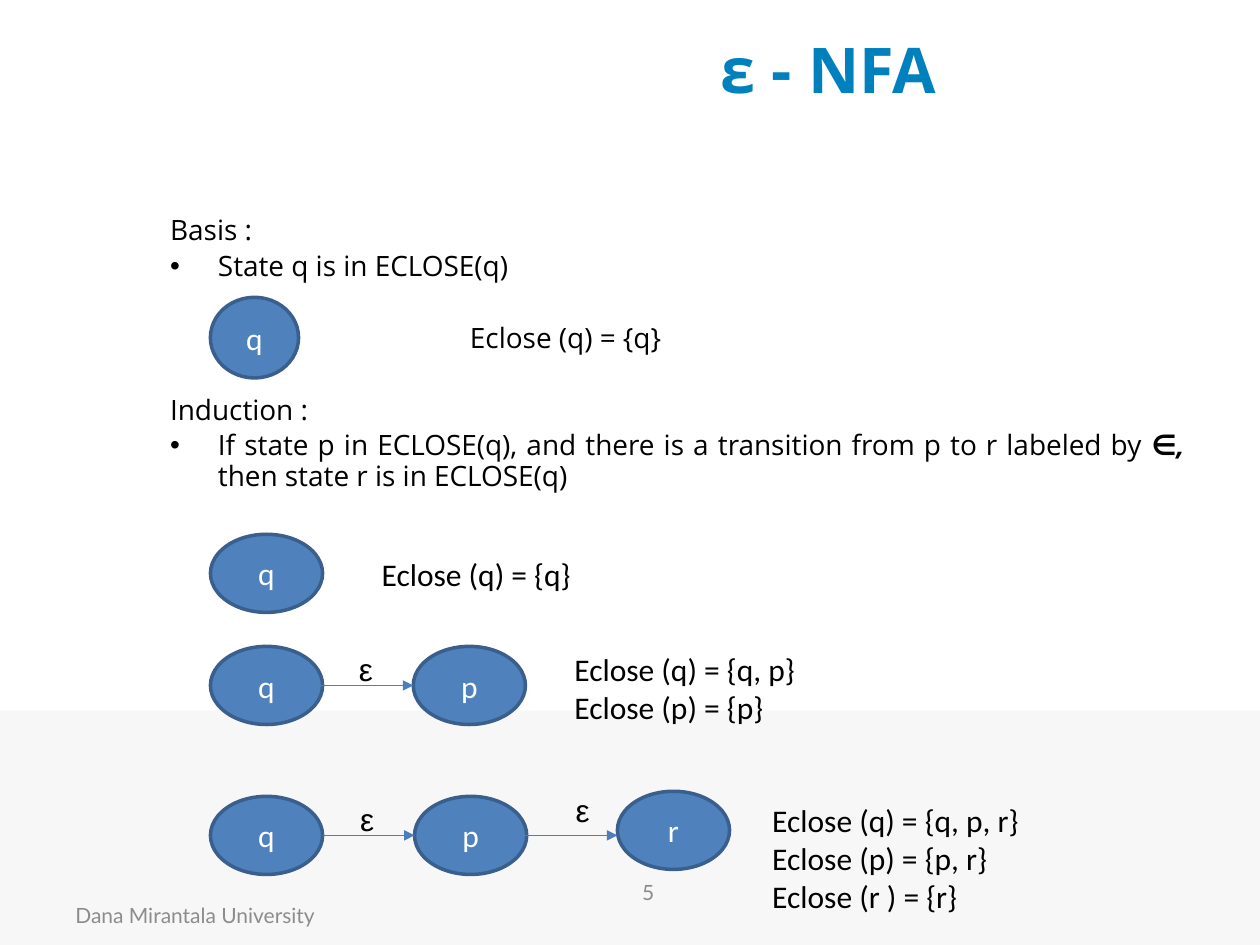
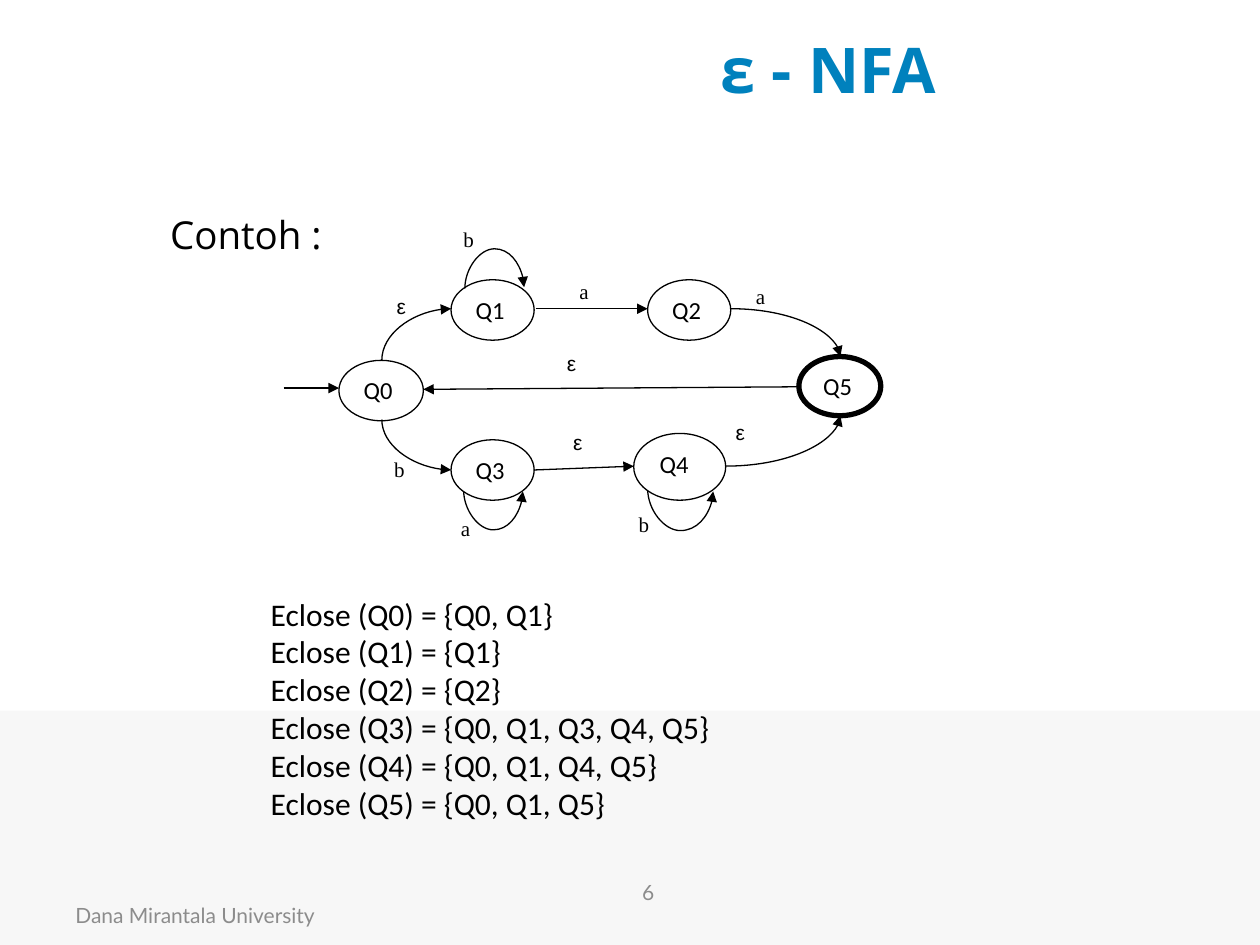
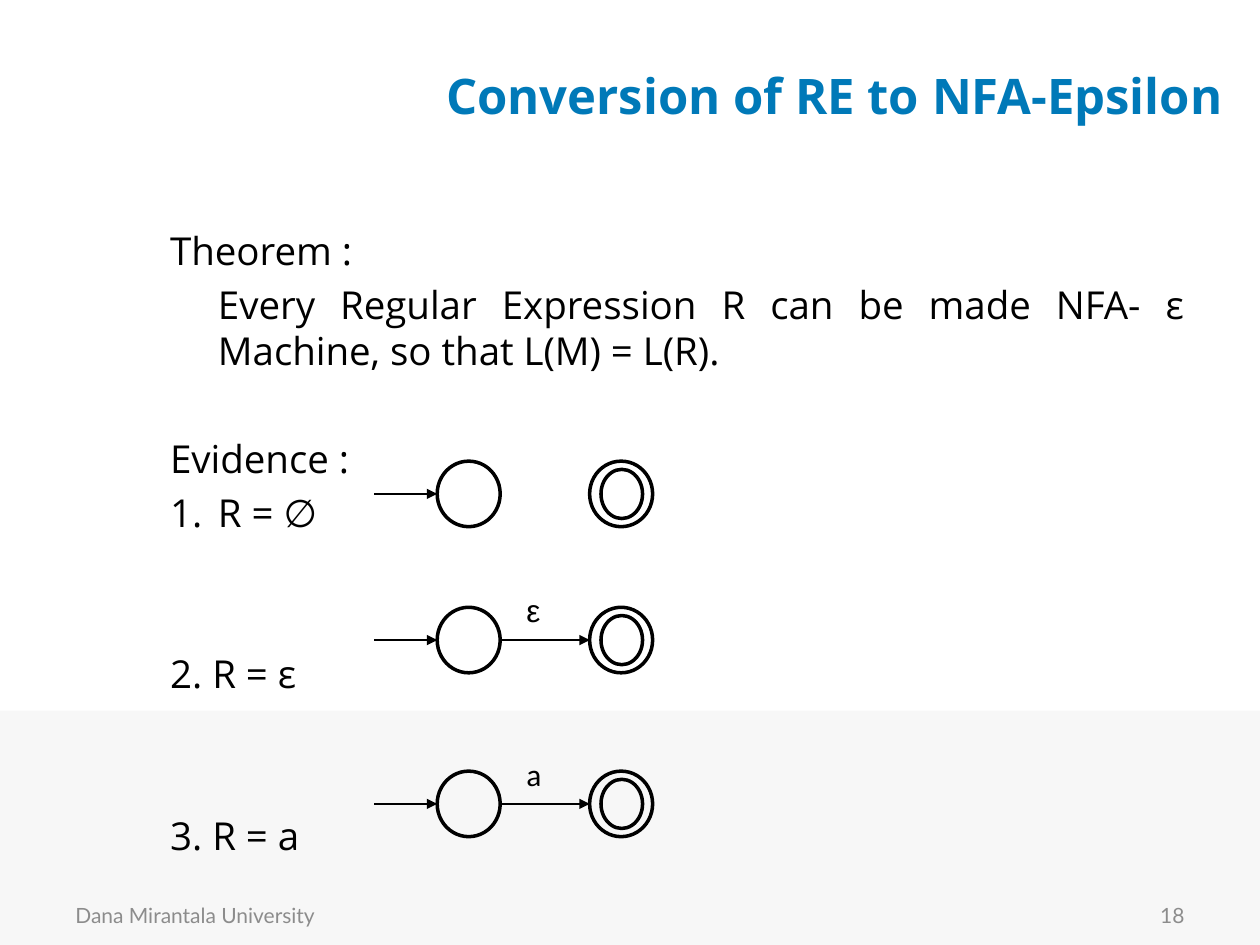
from dataclasses import dataclass

from lxml import etree
from pptx import Presentation
from pptx.dml.color import RGBColor
from pptx.enum.shapes import MSO_CONNECTOR, MSO_SHAPE
from pptx.enum.text import MSO_ANCHOR, MSO_AUTO_SIZE, PP_ALIGN
from pptx.oxml.ns import qn
from pptx.util import Emu, Inches, Pt

LEFT, MID, RIGHT, JUST = PP_ALIGN.LEFT, PP_ALIGN.CENTER, PP_ALIGN.RIGHT, PP_ALIGN.JUSTIFY
TOP, CORE = MSO_ANCHOR.TOP, MSO_ANCHOR.MIDDLE
RECT, OVAL = MSO_SHAPE.RECTANGLE, MSO_SHAPE.OVAL
LINE, CURVE = MSO_CONNECTOR.STRAIGHT, MSO_CONNECTOR.CURVE
FIXED = MSO_AUTO_SIZE.NONE

COLS, ROWS = 10, 7.5
CELL = Inches(1)
HEAD, SANS, SERIF, GREEK, FOOT = "Open Sans", "Calibri", "Times New Roman", "Arial", "Lato"
BLACK, WHITE, GREY, BAND = "000000", "FFFFFF", "8C8C8C", "F7F7F7"
BLUE, EDGE, WIRE = "4F81BD", "3A5F8C", "4B7EBC"
TITLE, DEEP = "0081BD", "0079B8"
SCHOOL = "Dana Mirantala University"
HANG, LEAD, TALL = 0.38, 0.2, 1.2


@dataclass
class Item:
    """One body paragraph; gap counts the lines left free above it."""
    text: str
    gap: float = 0
    left: float = HANG
    first: float = -HANG
    mark: str = ""
    align: PP_ALIGN = LEFT
    bold: str = ""


@dataclass
class Node:
    """One state of an automaton."""
    text: str
    x: float
    y: float
    w: float = 0.66
    h: float = 0.48
    line: float = 0.75


@dataclass
class Arc:
    """One arrow; a turn leaves upright, and reach makes it a loop."""
    x: float
    y: float
    to_x: float
    to_y: float
    kind: MSO_CONNECTOR = LINE
    turn: bool = False
    reach: float = 0


def cell(num: float) -> Emu:
    """Turn grid columns or rows into a length."""
    return Emu(round(num * CELL))


def paint(hue: str) -> RGBColor:
    """Read a hex colour."""
    return RGBColor.from_string(hue)


def write(frame, text: str, *, size=18, font=SANS, hue=BLACK, bold=False,
          align=LEFT, anchor=TOP, mark=""):
    """Add text to a frame, a paragraph a line, and return the last one."""
    frame.word_wrap, frame.auto_size, frame.vertical_anchor = True, FIXED, anchor
    for line in text.split("\n"):
        par = frame.paragraphs[0]
        if par.runs:
            par = frame.add_paragraph()
        par.alignment = align
        for part in line.partition(mark) if mark else [line]:
            if part:
                run = par.add_run()
                run.text = part
                face = run.font
                face.size, face.name, face.color.rgb = Pt(size), font, paint(hue)
                face.bold = bold or part == mark
                face.italic = part == mark
    return par


def place(shape, x: float, y: float, w: float, h: float) -> None:
    """Move a shape to its place on the grid."""
    shape.left, shape.top, shape.width, shape.height = map(cell, (x, y, w, h))


def label(slide, text: str, x: float, y: float, w: float, h: float, **fmt) -> None:
    """Add a text box."""
    box = slide.shapes.add_textbox(*map(cell, (x, y, w, h)))
    write(box.text_frame, text, **fmt)


def block(slide, kind, x: float, y: float, w: float, h: float,
          fill="", edge="", line=0.75):
    """Add a plain preset shape."""
    shape = slide.shapes.add_shape(kind, *map(cell, (x, y, w, h)))
    shape.shadow.inherit = False
    if fill:
        shape.fill.solid()
        shape.fill.fore_color.rgb = paint(fill)
    else:
        shape.fill.background()
    if edge:
        shape.line.color.rgb = paint(edge)
        shape.line.width = Pt(line)
    else:
        shape.line.fill.background()
    return shape


def state(slide, node: Node, fill=WHITE, edge=BLACK, **fmt) -> None:
    """Draw a state with its name."""
    shape = block(slide, OVAL, node.x, node.y, node.w, node.h, fill, edge, node.line)
    write(shape.text_frame, node.text, **fmt)


def arrow(slide, arc: Arc, hue=BLACK) -> None:
    """Draw an arrow, straight or curved."""
    ends = arc.x, arc.y, arc.to_x, arc.to_y
    wide, drop = arc.to_x - arc.x, arc.to_y - arc.y
    if arc.turn:
        mid_x, mid_y = arc.x + wide / 2, arc.y + drop / 2
        half_x, half_y = abs(drop) / 2, wide / 2 if drop < 0 else -wide / 2
        ends = mid_x + half_x, mid_y + half_y, mid_x - half_x, mid_y - half_y
    link = slide.shapes.add_connector(arc.kind, *map(cell, ends))
    link.line.color.rgb = paint(hue)
    link.line.width = Pt(0.75)
    props = link.element.spPr
    tip = etree.SubElement(props.find(qn("a:ln")), qn("a:tailEnd"))
    tip.set("type", "triangle")
    etree.SubElement(props, qn("a:effectLst"))
    if arc.turn:
        props.find(qn("a:xfrm")).set("rot", str((90 if drop < 0 else 270) * 60000))
    if arc.kind == CURVE:
        geom = props.find(qn("a:prstGeom"))
        geom.set("prst", "curvedConnector3" if arc.reach else "curvedConnector2")
        if arc.reach:
            guide = etree.SubElement(geom.find(qn("a:avLst")), qn("a:gd"))
            guide.set("name", "adj1")
            guide.set("fmla", f"val {round(arc.reach / abs(drop) * 100000)}")


def bullet(par, item: Item) -> None:
    """Set the indent and the bullet of a paragraph."""
    props = par._p.get_or_add_pPr()
    props.set("marL", str(cell(item.left)))
    props.set("indent", str(cell(item.first)))
    if item.mark == "1.":
        etree.SubElement(props, qn("a:buAutoNum")).set("type", "arabicPeriod")
    elif item.mark:
        etree.SubElement(props, qn("a:buChar")).set("char", item.mark)
    else:
        etree.SubElement(props, qn("a:buNone"))


def fill_body(slide, items: list[Item], y: float, w: float, h: float,
              size: float, pace: float) -> None:
    """Fill the body placeholder."""
    body = slide.placeholders[1]
    place(body, 1.25, y, w, h)
    for item in items:
        par = write(body.text_frame, item.text, size=size, font=HEAD,
                    align=item.align, mark=item.bold)
        step = size * (TALL * pace + LEAD)
        par.line_spacing = pace
        par.space_before = Pt(round(size * LEAD + item.gap * step, 1))
        bullet(par, item)


def start(deck, title: str, page: str, w=6.31, h=0.75, size=36, hue=TITLE, side=False):
    """Add a slide with its title, footer and number."""
    slide = deck.slides.add_slide(deck.slide_layouts[1])
    place(slide.shapes.title, 3.42, 0.17, w, h)
    write(slide.shapes.title.text_frame, title, size=size, font=HEAD, hue=hue,
          bold=True, align=MID, anchor=CORE)
    small = dict(size=12, font=FOOT, hue=GREY, anchor=CORE)
    label(slide, SCHOOL, 0.5, 7.06, 2.33, 0.4, **small)
    if side:
        label(slide, page, 7.17, 7.06, 2.33, 0.4, align=RIGHT, **small)
    else:
        label(slide, page, 3.56, 6.82, 3.17, 0.52, align=MID, **small)
    return slide


def add_band(deck, slide) -> None:
    """Put the grey band on the shared layout."""
    band = block(slide, RECT, 0, 5.64, COLS, ROWS - 5.64, BAND)
    deck.slide_layouts[1].shapes.element.insert(2, band.element)


def draw_rules(deck) -> None:
    """Build the slide on the basis and induction of ECLOSE."""
    slide = start(deck, "ε - NFA", "5")
    add_band(deck, slide)
    fill_body(slide, [
        Item("Basis :"),
        Item("State q is in ECLOSE(q)", mark="•"),
        Item("Eclose (q) = {q}", gap=1, left=2.38, first=0),
        Item("Induction :", gap=1),
        Item("If state p in ECLOSE(q), and there is a transition from p to r "
             "labeled by ∈, then state r is in ECLOSE(q)", mark="•",
             align=JUST, bold="∈,"),
    ], 1.67, 8.25, 5.58, 16, 0.9)
    big = dict(w=0.89, h=0.62, line=2)
    for node in (
        Node("q", 1.67, 2.36, 0.7, 0.64, 2),
        Node("q", 1.67, 4.24, **big),
        Node("q", 1.67, 5.13, **big), Node("p", 3.28, 5.13, **big),
        Node("q", 1.67, 6.32, **big), Node("p", 3.29, 6.32, **big),
        Node("r", 4.9, 6.28, **big),
    ):
        state(slide, node, BLUE, EDGE, hue=WHITE, align=MID, anchor=CORE)
    for x, y in ((2.55, 5.44), (2.56, 6.63), (4.17, 6.63)):
        arrow(slide, Arc(x, y, x + 0.73, y), WIRE)
    for x, y in ((2.75, 5.11), (2.76, 6.3), (4.47, 6.23)):
        label(slide, "ε", x, y, 0.64, 0.37, font=GREEK)
    for text, x, y, h in (
        ("Eclose (q) = {q}", 2.93, 4.36, 0.37),
        ("Eclose (q) = {q, p}\nEclose (p) = {p}", 4.46, 5.11, 0.66),
        ("Eclose (q) = {q, p, r}\nEclose (p) = {p, r}\nEclose (r ) = {r}",
         6.03, 6.31, 0.94),
    ):
        label(slide, text, x, y, 2.69, h)


def draw_case(deck) -> None:
    """Build the slide with the worked automaton."""
    slide = start(deck, "ε - NFA", "6")
    fill_body(slide, [Item("Contoh :")], 1.67, 8.58, 5.58, 22, 0.9)
    for text, x, y in (
        ("a", 4.5, 2.16), ("ε", 5.74, 3.28), ("ε", 4.45, 3.36), ("a", 5.9, 2.2),
        ("ε", 4.4, 2.73), ("ε", 3.05, 2.28), ("a", 3.56, 4.04), ("b", 4.97, 4.01),
        ("b", 3.03, 3.57), ("b", 3.58, 1.75),
    ):
        tag = block(slide, RECT, x, y, 0.44, 0.32, WHITE)
        write(tag.text_frame, text, size=12, font=GREEK if text == "ε" else SERIF)
    nodes = [
        Node("Q0", 2.69, 2.86, 0.67), Node("Q1", 3.58, 2.22), Node("Q2", 5.14, 2.22),
        Node("Q5", 6.34, 2.83, 0.65, 0.47, 3),
        Node("Q3", 3.58, 3.49), Node("Q4", 5.03, 3.44, 0.73, 0.53),
    ]
    for node in nodes[:4]:
        state(slide, node, size=14)
    for arc in (
        Arc(2.25, 3.08, 2.69, 3.08), Arc(4.25, 2.45, 5.14, 2.45),
        Arc(6.34, 3.07, 3.36, 3.09), Arc(4.24, 3.73, 5.03, 3.7),
        Arc(3.03, 2.86, 3.58, 2.45, CURVE, True),
        Arc(3.03, 3.33, 3.58, 3.73, CURVE, True),
        Arc(5.8, 2.45, 6.67, 2.83, CURVE),
        Arc(5.76, 3.7, 6.67, 3.3, CURVE),
        Arc(3.69, 2.29, 4.16, 2.28, CURVE, True, 0.32),
        Arc(3.68, 3.89, 4.15, 3.9, CURVE, True, 0.32),
        Arc(5.14, 3.88, 5.66, 3.9, CURVE, True, 0.33),
    ):
        arrow(slide, arc)
    for node in nodes[4:]:
        state(slide, node, size=14)
    sets = ("Q0, Q1", "Q1", "Q2", "Q0, Q1, Q3, Q4, Q5", "Q0, Q1, Q4, Q5", "Q0, Q1, Q5")
    text = "\n".join(f"Eclose (Q{num}) = {{{names}}}" for num, names in enumerate(sets))
    label(slide, text, 2.05, 4.67, 6.04, 1.92)


def draw_proof(deck) -> None:
    """Build the slide on turning an expression into a machine."""
    slide = start(deck, "Conversion of RE to NFA-Epsilon", "18", 6.4, 1.17, 28, DEEP, True)
    fill_body(slide, [
        Item("Theorem :"),
        Item("Every Regular Expression R can be made NFA- ε Machine, "
             "so that L(M) = L(R).", first=0, align=JUST),
        Item("Evidence :", gap=1),
        Item("R = ∅", mark="1."),
        Item("2. R = ε", gap=2),
        Item("3. R = a", gap=2),
    ], 1.75, 8.25, 4.95, 22, 1.0)
    for y, text, font in ((3.92, "", SANS), (5.08, "ε", GREEK), (6.38, "a", SANS)):
        for x, w, h in ((3.47, 0.5, 0.52), (4.68, 0.5, 0.52), (4.77, 0.33, 0.39)):
            block(slide, OVAL, x, y - h / 2, w, h, edge=BLACK, line=2)
        arrow(slide, Arc(2.97, y, 3.47, y))
        if text:
            arrow(slide, Arc(3.97, y, 4.68, y))
            label(slide, text, 4.08, y - 0.44, 0.5, 0.4, font=font)


def main() -> None:
    """Build and save the deck."""
    deck = Presentation()
    deck.slide_width, deck.slide_height = cell(COLS), cell(ROWS)
    for draw in (draw_rules, draw_case, draw_proof):
        draw(deck)
    deck.save("out.pptx")


if __name__ == "__main__":
    main()
